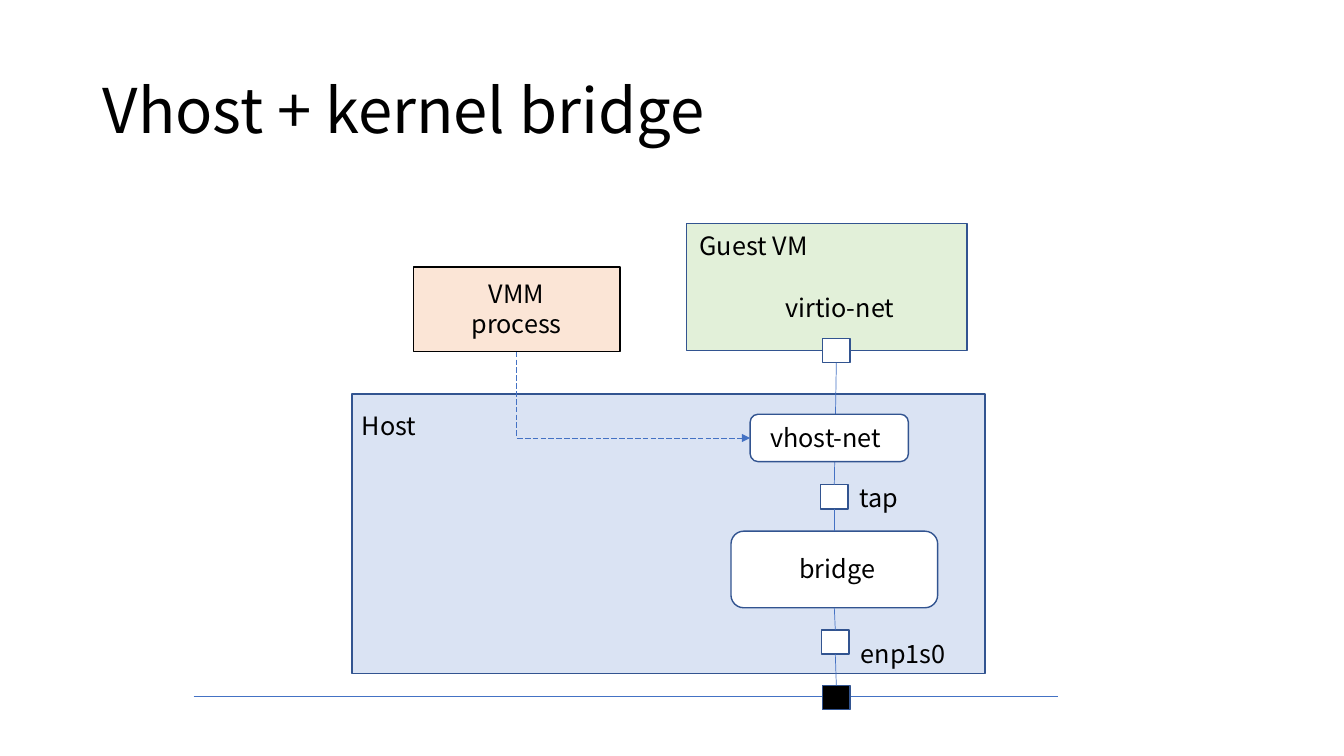
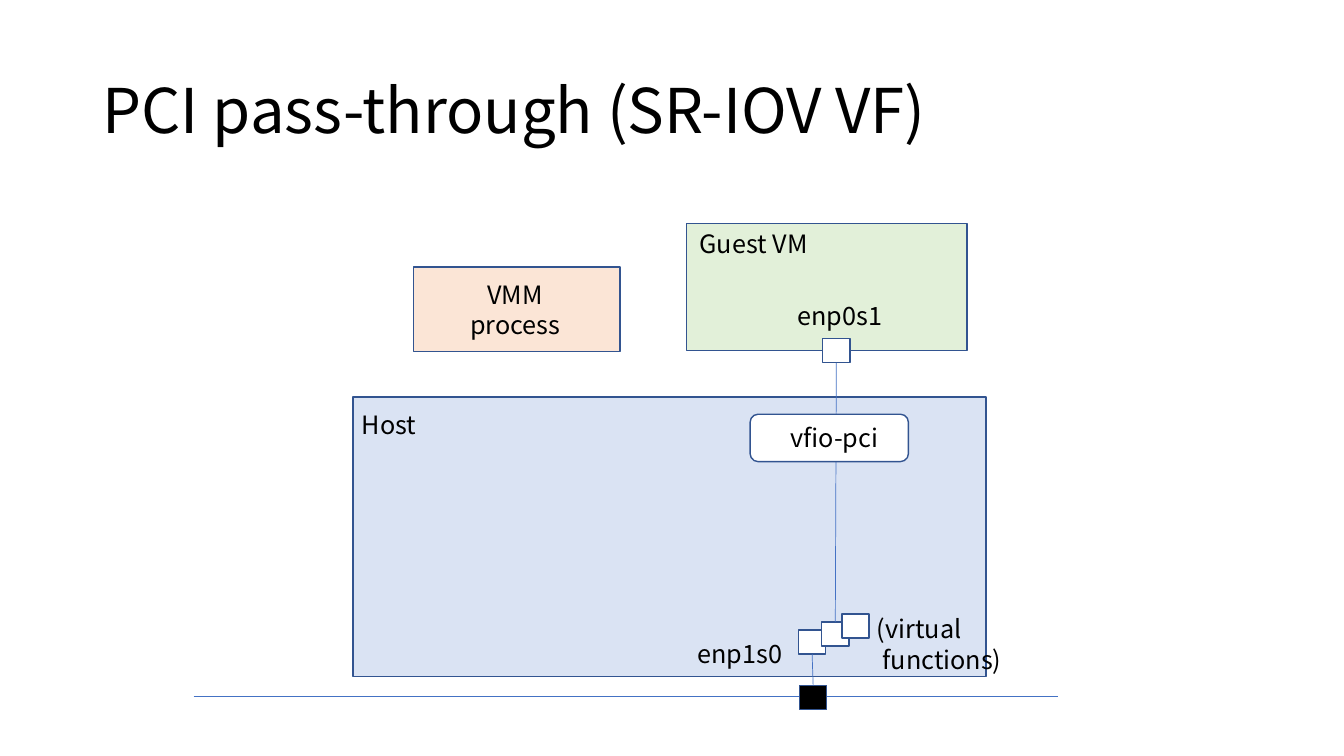
import pptx
import pptx.util
import pptx.dml.color
import pptx.enum.dml
import pptx.enum.shapes
import pptx.enum.text
import pptx.oxml.ns
import lxml.etree

Inches = pptx.util.Inches
Pt = pptx.util.Pt
RGBColor = pptx.dml.color.RGBColor
SHAPE = pptx.enum.shapes.MSO_SHAPE
LINK = pptx.enum.shapes.MSO_CONNECTOR
ALIGN = pptx.enum.text.PP_ALIGN
qn = pptx.oxml.ns.qn

FONT = "Noto Sans CJK JP"
BLACK = RGBColor(0x00, 0x00, 0x00)
WHITE = RGBColor(0xFF, 0xFF, 0xFF)
BLUE = RGBColor(0x44, 0x72, 0xC4)
NAVY = RGBColor(0x32, 0x54, 0x90)
SKY = RGBColor(0xDA, 0xE3, 0xF3)
GREEN = RGBColor(0xE2, 0xF0, 0xD9)
PEACH = RGBColor(0xFB, 0xE5, 0xD6)

PORT = (0.27, 0.24)
TOP, LEFT, LOW = 0, 1, 2

# Ports are (name, left, top, fill); labels are (lines, left, top, width, align).
# Links are (from, to) and run from a lower side to an upper side.
SLIDES = [
    {
        "title": "Vhost + kernel bridge",
        "host": (3.49, 3.91),
        "edge": BLACK,
        "bridge": (7.25, 5.27, 2.05, 0.76),
        "ports": [
            ("wire", 8.16, 6.8, BLACK),
            ("nic", 8.15, 6.25, WHITE),
            ("tap", 8.14, 4.81, WHITE),
            ("guest", 8.16, 3.36, WHITE),
        ],
        "links": [("guest", "tap"), ("tap", "bridge"),
                  ("bridge", "nic"), ("nic", "wire")],
        "control": True,
        "labels": [
            (["VMM", "process"], 4.46, 2.71, 1.33, ALIGN.CENTER),
            (["virtio-net"], 7.69, 2.85, 1.39, ALIGN.LEFT),
            (["bridge"], 7.83, 5.44, 1.03, ALIGN.LEFT),
            (["tap"], 8.43, 4.74, 0.74, ALIGN.LEFT),
            (["enp1s0"], 8.44, 6.28, 1.15, ALIGN.LEFT),
            (["Host"], 3.49, 4.02, 1.12, ALIGN.LEFT),
            (["Guest VM"], 6.84, 2.24, 1.45, ALIGN.LEFT),
            (["vhost-net"], 7.54, 4.14, 1.62, ALIGN.LEFT),
        ],
    },
    {
        "title": "PCI pass-through (SR-IOV VF)",
        "host": (3.5, 3.94),
        "edge": NAVY,
        "bridge": None,
        "ports": [
            ("wire", 7.93, 6.8, BLACK),
            ("nic", 7.92, 6.25, WHITE),
            ("guest", 8.16, 3.36, WHITE),
            ("vf1", 8.15, 6.17, WHITE),
            ("vf2", 8.35, 6.09, WHITE),
        ],
        "links": [("guest", "vf1"), ("nic", "wire")],
        "control": False,
        "labels": [
            (["VMM", "process"], 4.44, 2.72, 1.34, ALIGN.CENTER),
            (["enp0s1"], 7.81, 2.93, 1.56, ALIGN.LEFT),
            (["enp1s0"], 6.82, 6.28, 1.15, ALIGN.LEFT),
            (["Host"], 3.49, 4.01, 1.12, ALIGN.LEFT),
            (["Guest VM"], 6.84, 2.22, 1.45, ALIGN.LEFT),
            (["(virtual", " functions)"], 8.6, 6.04, 1.64, ALIGN.LEFT),
            (["vfio-pci"], 7.74, 4.14, 1.62, ALIGN.LEFT),
        ],
    },
]


def add_box(slide, place, fill, edge=NAVY, kind=SHAPE.RECTANGLE):
    box = slide.shapes.add_shape(kind, *map(Inches, place))
    box.shadow.inherit = False
    box.fill.solid()
    box.fill.fore_color.rgb = fill
    box.line.color.rgb = edge
    box.line.width = Pt(1)
    return box


def add_text(slide, lines, place, size=18, align=ALIGN.LEFT):
    box = slide.shapes.add_textbox(*map(Inches, place))
    frame = box.text_frame
    frame.word_wrap = True
    for i, line in enumerate(lines):
        para = frame.paragraphs[0] if i == 0 else frame.add_paragraph()
        para.alignment = align
        run = para.add_run()
        run.text = line
        run.font.name = FONT
        run.font.size = Pt(size)
        run.font.color.rgb = BLACK
    return frame


def add_line(slide, start=(0, 0), end=(0, 0), kind=LINK.STRAIGHT):
    line = slide.shapes.add_connector(kind, *map(Inches, start + end))
    line.line.color.rgb = BLUE
    line.line.width = Pt(0.5)
    lxml.etree.SubElement(line._element.spPr, qn("a:effectLst"))
    return line


def join(line, first, side, last, other):
    line.begin_connect(first, side)
    line.end_connect(last, other)


def add_control(slide, first, last):
    """Draw a dashed arrow that goes down from first, then right to last."""
    line = add_line(slide, kind=LINK.ELBOW)
    join(line, first, LOW, last, LEFT)
    line.line.dash_style = pptx.enum.dml.MSO_LINE.LONG_DASH
    tail = lxml.etree.SubElement(line.line._get_or_add_ln(), qn("a:tailEnd"))
    tail.set("type", "triangle")
    # A one-bend connector starts sideways, so it is turned to start downward.
    props = line._element.spPr
    props.find(qn("a:prstGeom")).set("prst", "bentConnector2")
    wide, high = line.width, line.height
    line.left += (wide - high) // 2
    line.top += (high - wide) // 2
    line.width, line.height = high, wide
    frame = props.find(qn("a:xfrm"))
    frame.set("rot", str(270 * 60000))
    frame.set("flipH", "1")


def add_slide(deck, data):
    slide = deck.slides.add_slide(deck.slide_layouts[6])
    title = add_text(slide, [data["title"]], (0.92, 0.4, 11.5, 1.45), 44)
    title.vertical_anchor = pptx.enum.text.MSO_ANCHOR.MIDDLE
    title.paragraphs[0].line_spacing = 0.9

    add_line(slide, (1.92, 6.91), (10.49, 6.91))
    add_box(slide, data["host"] + (6.28, 2.77), SKY)
    add_box(slide, (6.81, 2.22, 2.78, 1.26), GREEN)
    vmm = add_box(slide, (4.1, 2.65, 2.05, 0.84), PEACH, data["edge"])

    nodes = {}
    if data["bridge"]:
        nodes["bridge"] = add_box(slide, data["bridge"], WHITE,
                                  kind=SHAPE.ROUNDED_RECTANGLE)
    for name, left, top, fill in data["ports"]:
        nodes[name] = add_box(slide, (left, top) + PORT, fill)
    for first, last in data["links"]:
        join(add_line(slide), nodes[first], LOW, nodes[last], TOP)

    driver = add_box(slide, (7.44, 4.11, 1.57, 0.47), WHITE,
                     kind=SHAPE.ROUNDED_RECTANGLE)
    if data["control"]:
        add_control(slide, vmm, driver)
    for lines, left, top, width, align in data["labels"]:
        height = 0.1 + 0.3 * len(lines)
        add_text(slide, lines, (left, top, width, height), align=align)


def main():
    deck = pptx.Presentation()
    deck.slide_width = Inches(13.33)
    deck.slide_height = Inches(7.5)
    for data in SLIDES:
        add_slide(deck, data)
    deck.save("out.pptx")


if __name__ == "__main__":
    main()
